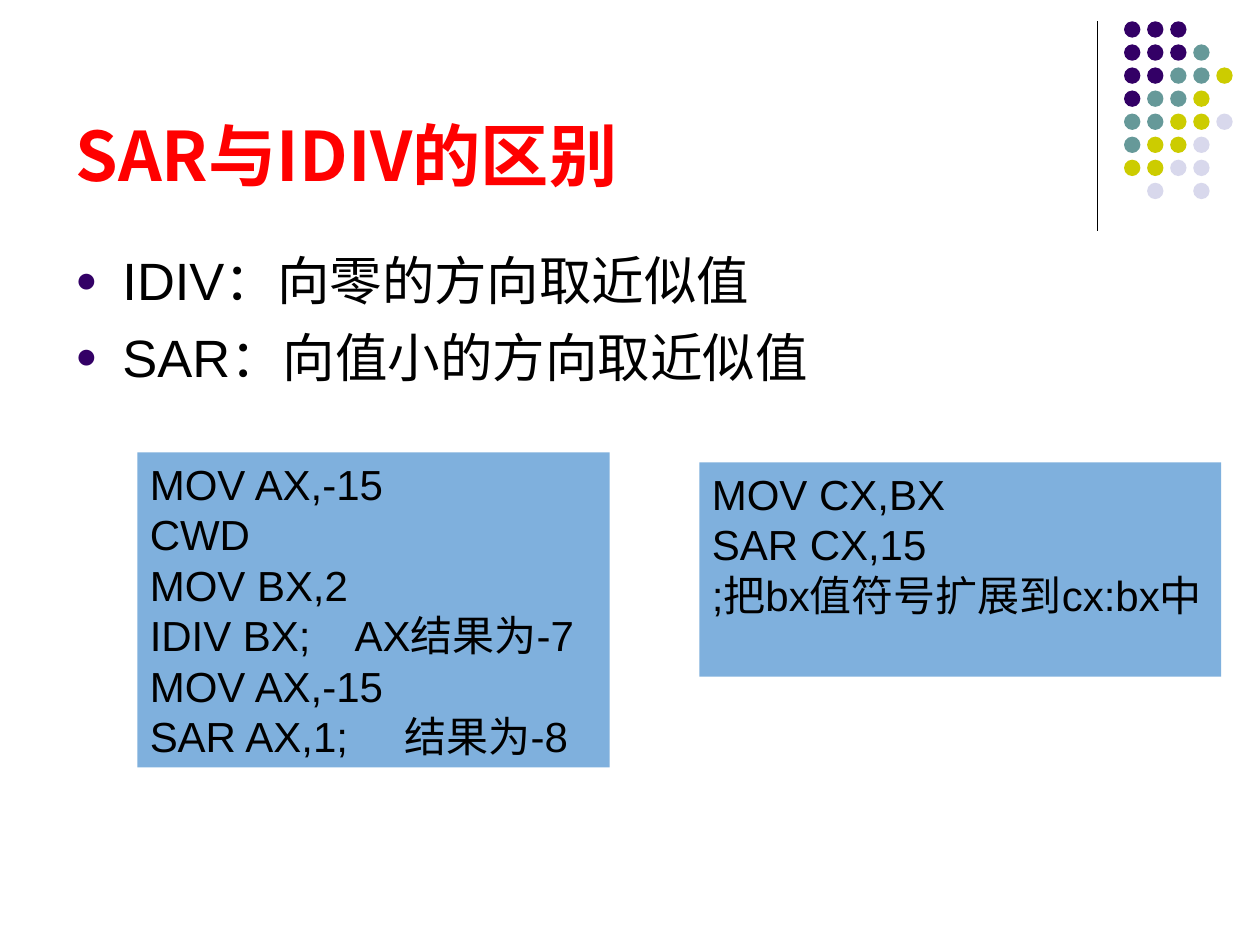
import pptx
import pptx.dml.color
import pptx.enum.shapes
import pptx.enum.text
import pptx.oxml
import pptx.oxml.ns
import pptx.util
from lxml import etree
from pptx.util import Cm, Pt

RGBColor = pptx.dml.color.RGBColor
BLACK = RGBColor(0x00, 0x00, 0x00)
RED = RGBColor(0xFF, 0x00, 0x00)
PANEL_BLUE = RGBColor(0x7F, 0xB0, 0xDD)
PURPLE = RGBColor(0x33, 0x00, 0x66)
TEAL = RGBColor(0x66, 0x99, 0x99)
OLIVE = RGBColor(0xCC, 0xCC, 0x00)
LAVENDER = RGBColor(0xD8, 0xD8, 0xEC)

LATIN_FONT = "Arial"
CHINESE_FONT = "Noto Sans CJK SC"

TITLE = "SAR与IDIV的区别"
POINTS = ["IDIV：向零的方向取近似值", "SAR：向值小的方向取近似值"]

# Each code line is (text, tab stop of its comment in cm or None).
CODE_PANELS = [
    ((2.77, 9.12, 9.52, 6.35), [
        ("MOV AX,-15", None),
        ("CWD", None),
        ("MOV BX,2", None),
        ("IDIV BX;\tAX结果为-7", 4.13),
        ("MOV AX,-15", None),
        ("SAR AX,1;\t结果为-8", 5.14),
    ]),
    ((14.1, 9.32, 10.52, 4.32), [
        ("MOV CX,BX", None),
        ("SAR CX,15", None),
        (";把bx值符号扩展到cx:bx中", None),
    ]),
]

DOT_COLOURS = {"P": PURPLE, "T": TEAL, "O": OLIVE, "L": LAVENDER}
DOT_ROWS = ["PPP", "PPPT", "PPTTO", "PTTO", "TTOOL", "TOOL", "OOLL", ".L.L"]
DOT_LEFT, DOT_TOP, DOT_PITCH, DOT_SIZE = 22.66, 0.43, 0.465, 0.33

A_NS = pptx.oxml.ns.nsdecls("a")


def append_xml(parent, *fragments):
    for fragment in fragments:
        parent.append(pptx.oxml.parse_xml(fragment.replace("/>", f" {A_NS}/>", 1)
                                          if fragment.endswith("/>") and fragment.count("<") == 1
                                          else fragment.replace(">", f" {A_NS}>", 1)))


def style(paragraph, size, colour, latin=LATIN_FONT, bold=False):
    """Format the paragraph, with Chinese glyphs in the Chinese font."""
    paragraph.alignment = pptx.enum.text.PP_ALIGN.LEFT
    paragraph.line_spacing = Pt(size * 1.2)
    font = paragraph.font
    font.size, font.bold, font.name = Pt(size), bold, latin
    font.color.rgb = colour
    defaults = paragraph._p.pPr.find(pptx.oxml.ns.qn("a:defRPr"))
    append_xml(defaults, f'<a:ea typeface="{CHINESE_FONT}"/>')


def add_paragraphs(frame, texts):
    for index, text in enumerate(texts):
        paragraph = frame.paragraphs[0] if index == 0 else frame.add_paragraph()
        paragraph.add_run().text = text
        yield index, paragraph


def add_title(slide):
    title = slide.shapes.title
    title.left, title.top, title.width, title.height = Cm(1.27), Cm(0.33), Cm(20.96), Cm(3.61)
    frame = title.text_frame
    frame.text = TITLE
    frame.auto_size = pptx.enum.text.MSO_AUTO_SIZE.NONE
    frame.vertical_anchor = pptx.enum.text.MSO_ANCHOR.BOTTOM
    frame.margin_bottom = 0
    style(frame.paragraphs[0], 39, RED, CHINESE_FONT, bold=True)


def add_points(slide):
    frame = slide.shapes.add_textbox(Cm(1.27), Cm(4.78), Cm(22.86), Cm(12.24)).text_frame
    frame.word_wrap = True
    frame.margin_top = Cm(0.23)
    for index, paragraph in add_paragraphs(frame, POINTS):
        properties = paragraph._p.get_or_add_pPr()
        properties.set("marL", str(Cm(0.95)))
        properties.set("indent", str(Cm(-0.95)))
        append_xml(properties,
                   f'<a:buClr><a:srgbClr val="{PURPLE}"/></a:buClr>',
                   '<a:buSzPct val="70000"/>',
                   f'<a:buFont typeface="{LATIN_FONT}"/>',
                   '<a:buChar char="●"/>')
        if index:
            paragraph.space_before = Pt(7.5)
        style(paragraph, 30, BLACK)


def add_code_panel(slide, box, lines):
    panel = slide.shapes.add_shape(pptx.enum.shapes.MSO_SHAPE.RECTANGLE, *map(Cm, box))
    panel.shadow.inherit = False
    panel.fill.solid()
    panel.fill.fore_color.rgb = PANEL_BLUE
    panel.line.fill.background()
    frame = panel.text_frame
    frame.word_wrap = True
    frame.auto_size = pptx.enum.text.MSO_AUTO_SIZE.SHAPE_TO_FIT_TEXT
    frame.vertical_anchor = pptx.enum.text.MSO_ANCHOR.TOP
    for index, paragraph in add_paragraphs(frame, [text for text, _ in lines]):
        tab = lines[index][1]
        if tab:
            append_xml(paragraph._p.get_or_add_pPr(),
                       f'<a:tabLst><a:tab pos="{Cm(tab)}" algn="l"/></a:tabLst>')
        style(paragraph, 24, BLACK)


def add_corner_ornament(slide):
    rule = slide.shapes.add_connector(
        pptx.enum.shapes.MSO_CONNECTOR.STRAIGHT, Cm(22.12), Cm(0.43), Cm(22.12), Cm(4.65))
    rule.line.color.rgb = BLACK
    rule.line.width = Pt(0.75)
    etree.SubElement(rule._element.spPr, pptx.oxml.ns.qn("a:effectLst"))

    dots = slide.shapes.add_group_shape()
    for row, codes in enumerate(DOT_ROWS):
        for column, code in enumerate(codes):
            if code not in DOT_COLOURS:
                continue
            dot = dots.shapes.add_shape(
                pptx.enum.shapes.MSO_SHAPE.OVAL,
                Cm(DOT_LEFT + column * DOT_PITCH), Cm(DOT_TOP + row * DOT_PITCH),
                Cm(DOT_SIZE), Cm(DOT_SIZE))
            dot.shadow.inherit = False
            dot.fill.solid()
            dot.fill.fore_color.rgb = DOT_COLOURS[code]
            dot.line.fill.background()


def main():
    presentation = pptx.Presentation()
    presentation.slide_width, presentation.slide_height = Cm(25.4), Cm(19.05)
    slide = presentation.slides.add_slide(presentation.slide_layouts[5])
    add_corner_ornament(slide)
    add_title(slide)
    add_points(slide)
    for box, lines in CODE_PANELS:
        add_code_panel(slide, box, lines)
    presentation.save("out.pptx")


if __name__ == "__main__":
    main()
